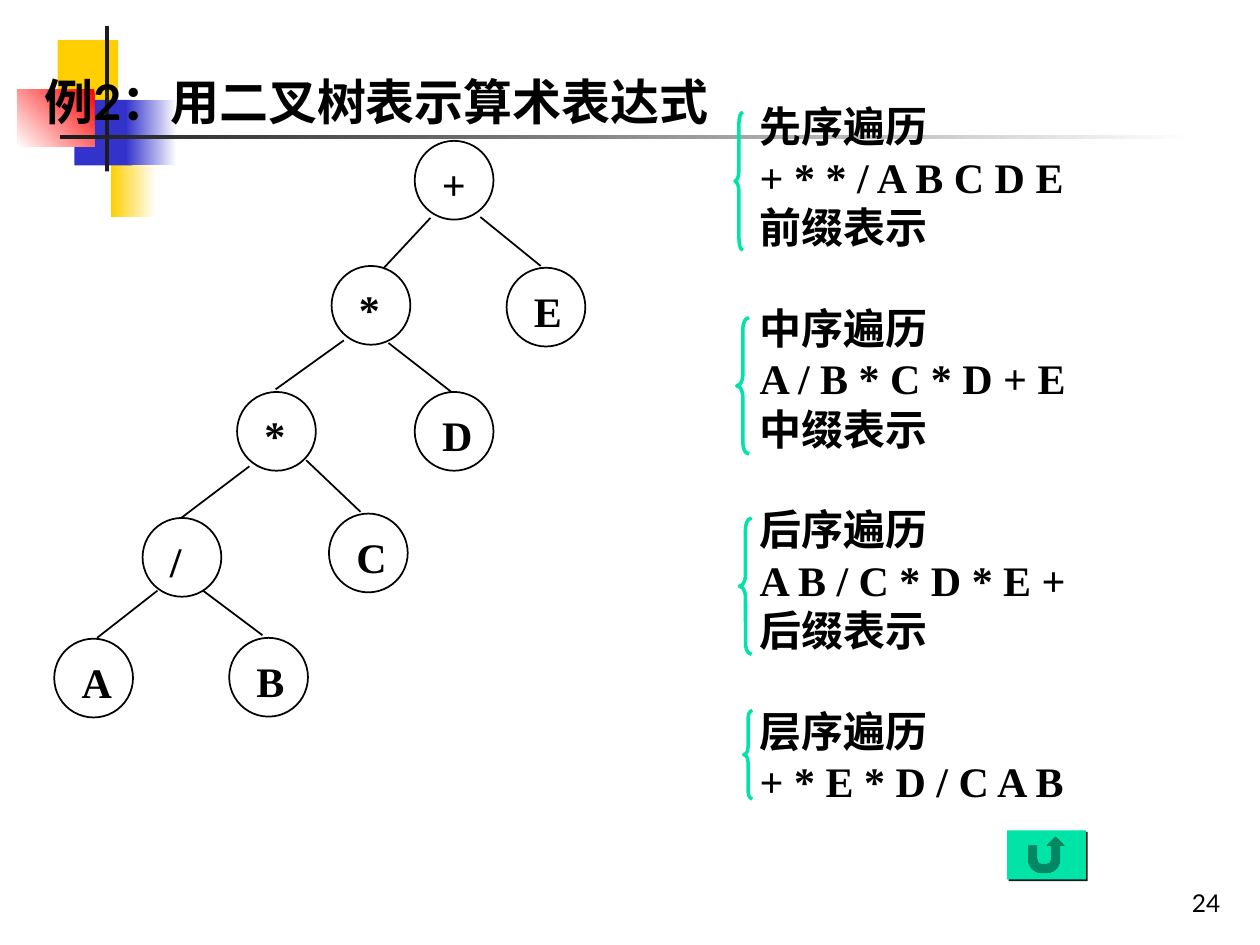
from lxml.etree import SubElement
from pptx import Presentation
from pptx.dml.color import RGBColor
from pptx.enum.shapes import MSO_CONNECTOR as Link, MSO_SHAPE as Shape
from pptx.enum.text import MSO_ANCHOR as Anchor, MSO_AUTO_SIZE as Fit, PP_ALIGN as Align
from pptx.oxml.ns import qn
from pptx.util import Pt

BLACK, DARK, WHITE = "000000", "1C1C1C", "FFFFFF"
GOLD, BLUE, RED, GREEN = "FFCF01", "3333CC", "FF0000", "00E4A8"
SERIF, SANS = "Times New Roman", "Lato"
NODE_SIZE = 45

BLOCKS = [
    (33, 23, 34.5, 37.5, GOLD),
    (63.25, 86.5, 26, 37.5, (WHITE, GOLD, 180)),
    (42.5, 57, 33, 37.5, BLUE),
    (72, 57, 29, 37.5, (WHITE, BLUE, 180)),
    (10, 51, 44, 33, (RED, WHITE, 135)),
    (60, 15, 2.25, 83, DARK),
    (34.5, 77, 648, 2.25, (WHITE, DARK, 180)),
]
NODES = [
    ("+", 237, 80.5, 28), ("*", 189.5, 152, 26.5), ("A", 31, 365, 31.5),
    ("*", 135.5, 224, 26.5), ("/", 81.5, 296, 21), ("E", 289.5, 153, 30.5),
    ("D", 237, 224, 31.5), ("C", 188, 293.5, 31.5), ("B", 131, 364.5, 30.5),
]
EDGES = [
    (246, 124.5, 219, 153.5), (274.5, 124, 309, 152),
    (196.5, 194.5, 157.5, 222.5), (222, 196, 258, 224),
    (142.5, 266.5, 103.5, 296), (175, 263, 206, 292.5),
    (90, 337.5, 55.5, 364.5), (116, 337.5, 150, 363),
]
TRAVERSALS = [
    ("先序遍历", "+ * * / A B C D E", "前缀表示"),
    ("中序遍历", "A / B * C * D + E", "中缀表示"),
    ("后序遍历", "A B / C * D * E +", "后缀表示"),
    ("层序遍历", "+ * E * D / C A B"),
]
BRACES = [(420, 64, 4.5, 79), (421, 181.5, 7, 78), (422.5, 296, 7, 78), (425, 406, 5, 50.5)]


def color(value):
    return RGBColor.from_string(value)


class Canvas:
    def __init__(self, slide):
        self.slide = slide
        self.shapes = slide.shapes

    def shape(self, kind, box, fill=None, line=None, weight=1):
        item = self.shapes.add_shape(kind, *map(Pt, box))
        item.shadow.inherit = False
        if fill is None:
            item.fill.background()
        elif isinstance(fill, tuple):
            start, end, angle = fill
            item.fill.gradient()
            item.fill.gradient_angle = 360 - angle
            for stop, shade in zip(item.fill.gradient_stops, (start, end)):
                stop.color.rgb = color(shade)
        else:
            item.fill.solid()
            item.fill.fore_color.rgb = color(fill)
        if line:
            item.line.color.rgb = color(line)
            item.line.width = Pt(weight)
        else:
            item.line.fill.background()
        return item

    def run(self, paragraph, words, size, font, bold):
        piece = paragraph.add_run()
        piece.text = words
        piece.font.size = Pt(size)
        piece.font.name = font
        piece.font.bold = bold
        piece.font.color.rgb = color(BLACK)

    def text(self, box, groups, size=24, font=SERIF, bold=True, wrap=False,
             align=Align.LEFT, anchor=Anchor.TOP, gap=28.8):
        frame = self.shapes.add_textbox(*map(Pt, box)).text_frame
        frame.word_wrap = wrap
        frame.vertical_anchor = anchor
        paragraph = None
        for lines in groups:
            for index, words in enumerate(lines):
                first = paragraph is None
                paragraph = frame.paragraphs[0] if first else frame.add_paragraph()
                paragraph.alignment = align
                if index == 0 and not first:
                    paragraph.space_before = Pt(gap)
                self.run(paragraph, words, size, font, bold)

    def title(self, box, words):
        heading = self.shapes.title
        heading.left, heading.top, heading.width, heading.height = map(Pt, box)
        frame = heading.text_frame
        frame.auto_size = Fit.NONE
        frame.word_wrap = True
        frame.vertical_anchor = Anchor.BOTTOM
        frame.paragraphs[0].alignment = Align.LEFT
        self.run(frame.paragraphs[0], words, 28, SANS, True)
        heading.element.getparent().append(heading.element)

    def edge(self, ends):
        link = self.shapes.add_connector(Link.STRAIGHT, *map(Pt, ends))
        link.line.color.rgb = color(BLACK)
        link.line.width = Pt(1)
        SubElement(link.element.spPr, qn("a:effectLst"))

    def node(self, label, left, top, label_width):
        self.shape(Shape.OVAL, (left, top, NODE_SIZE, NODE_SIZE), line=BLACK)
        self.text((left + 8.5, top + 6.5, label_width, 36), [[label]])

    def brace(self, box):
        curve = self.shape(Shape.LEFT_BRACE, box, line=GREEN, weight=2)
        curve.adjustments[0] = box[3] / box[2] / 12

    def return_button(self, box):
        button = self.shape(Shape.ACTION_BUTTON_RETURN, box, GREEN)
        effects = button.element.spPr.find(qn("a:effectLst"))
        shadow = SubElement(effects, qn("a:outerShdw"), dist=str(Pt(1.4)), dir="2700000")
        SubElement(shadow, qn("a:srgbClr"), val=DARK)


def main():
    deck = Presentation()
    deck.slide_width, deck.slide_height = Pt(720), Pt(540)
    canvas = Canvas(deck.slides.add_slide(deck.slide_layouts[5]))
    for *box, fill in BLOCKS:
        canvas.shape(Shape.RECTANGLE, box, fill)
    for node in NODES:
        canvas.node(*node)
    for ends in EDGES:
        canvas.edge(ends)
    canvas.text((427, 54, 191, 410), TRAVERSALS)
    for box in BRACES:
        canvas.brace(box)
    canvas.title((18, 24, 432, 54), "例2：用二叉树表示算术表达式")
    canvas.return_button((575.5, 474.5, 45, 28))
    canvas.text((554.5, 492, 150, 36), [["24"]], size=14, font=SANS, bold=False,
                wrap=True, align=Align.RIGHT, anchor=Anchor.BOTTOM)
    deck.save("out.pptx")


if __name__ == "__main__":
    main()
